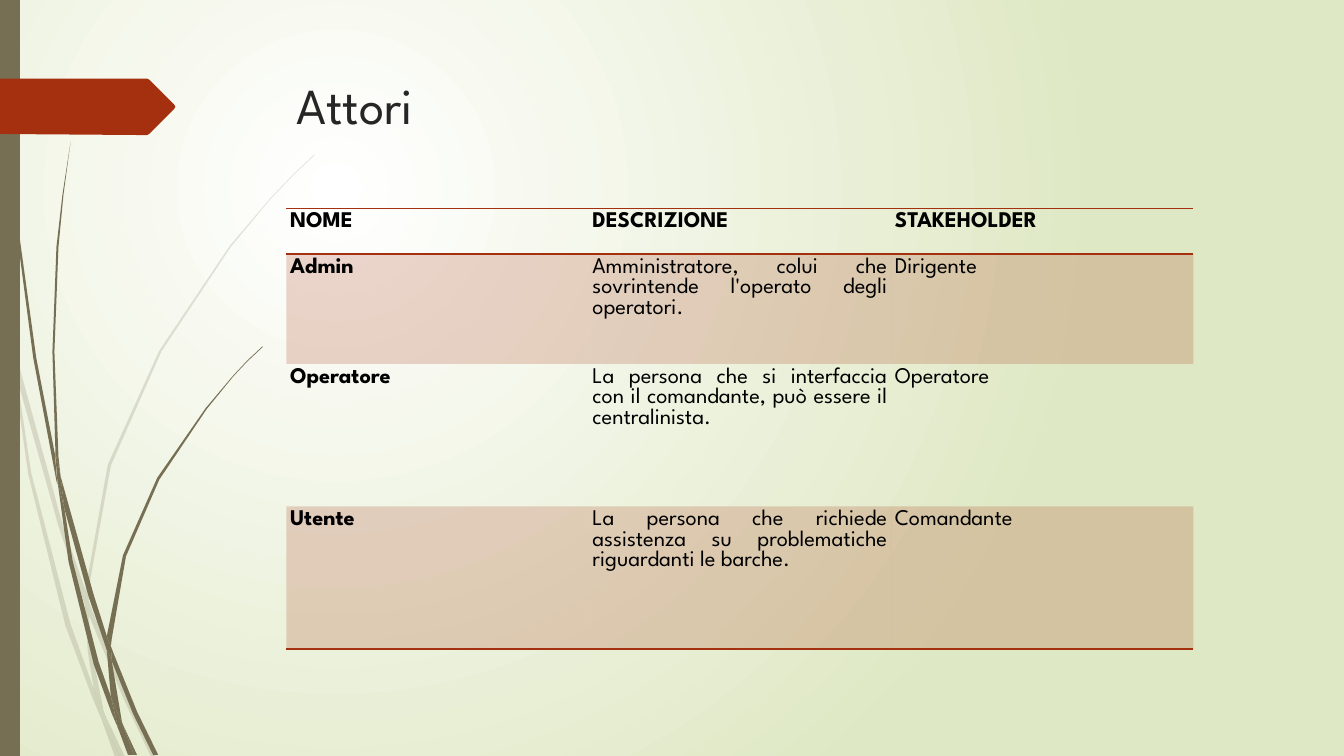
import pptx
import pptx.dml.color
import pptx.enum.text
import pptx.oxml
import pptx.oxml.ns
import pptx.util

TITLE = "Attori"
HEAD = ("NOME", "DESCRIZIONE", "STAKEHOLDER")
ACTORS = [
    ("Admin", "Amministratore, colui che sovrintende l'operato degli operatori.", "Dirigente"),
    ("Operatore", "La persona che si interfaccia con il comandante, può essere il centralinista.",
     "Operatore"),
    ("Utente", "La persona che richiede assistenza su problematiche riguardanti le barche.",
     "Comandante"),
]

THEME = {
    "font": "League Spartan",
    "title": 36, "cell": 16,
    "dark": "262626", "text": "000000",
    "stem": "766F54", "red": "A53010",
    "inner": "FFFFFF", "outer": "DFE8C4",
    "tint": 20,
}

Pt = pptx.util.Pt
WIDTH, HEIGHT = 960, 540
LEFT = 204.5
TITLE_BOX = (LEFT, 49, 702, 101)
TABLE_TOP, COL = 149, 216
ROWS = (32.4, 78.5, 101.9, 101.9)
INSET = 2.7
BAR = 14.4
GRID = Pt(0.72)  # one unit of the outlines below
PLAIN_TABLE = "{2D5ABB26-0587-4C30-8999-92F81FD0307C}"

PALE_GRASS = [
    [(11, 350), (9, 322), (0, 282), (0, 299), (10, 344)],
    [(58, 522), (84, 599), (85, 586), (62, 520), (14, 345), (17, 376)],
    [(92, 607), (88, 596), (88, 610), (123, 694), (150, 751), (155, 751), (127, 692)],
    [(119, 751), (124, 751), (105, 711)],
    [(93, 683), (70, 619), (31, 469), (17, 376), (11, 350), (28, 470), (65, 621),
     (92, 693), (101, 714), (99, 707)],
    [(84, 599), (87, 646), (93, 683), (96, 692), (105, 711), (103, 706), (91, 646),
     (88, 610), (88, 608)],
    [(88, 584), (110, 462), (160, 349), (229, 245), (268, 198), (290, 175), (312, 154),
     (312, 153), (289, 175), (268, 197), (228, 244), (158, 348), (107, 461), (85, 584),
     (85, 586), (88, 596)],
    [(101, 714), (114, 751), (119, 751)],
    [(88, 608), (88, 610), (88, 596), (85, 586), (84, 599)],
    [(96, 692), (93, 683), (99, 707), (101, 714), (119, 751), (105, 711)],
]
GRASS = [
    [(7, 110), (17, 233), (33, 355), (56, 477), (57, 481), (55, 457), (55, 453),
     (36, 355), (19, 232), (8, 109), (5, 48), (4, 0), (3, 0), (4, 48)],
    [(88, 592), (106, 645), (106, 633), (106, 631), (93, 590), (60, 472), (64, 505)],
    [(113, 649), (110, 641), (111, 656), (132, 708), (152, 749), (157, 749), (136, 706)],
    [(110, 691), (98, 657), (72, 556), (64, 505), (57, 477), (68, 557), (93, 659),
     (111, 708), (117, 722), (116, 717)],
    [(60, 472), (58, 453), (54, 349), (58, 245), (63, 193), (70, 141), (62, 193),
     (56, 245), (52, 349), (55, 449)],
    [(133, 749), (136, 749), (122, 719)],
    [(57, 477), (64, 505), (60, 472), (55, 449), (55, 453)],
    [(111, 633), (125, 552), (158, 476), (205, 406), (231, 374), (245, 359), (261, 344),
     (260, 344), (245, 358), (231, 373), (204, 405), (156, 474), (122, 551), (106, 631),
     (110, 641)],
    [(117, 722), (127, 749), (131, 749)],
    [(106, 645), (110, 691), (116, 706), (122, 719), (121, 716), (111, 656), (109, 651)],
    [(106, 645), (109, 651), (111, 656), (110, 641), (106, 631), (106, 633)],
    [(116, 706), (110, 691), (116, 717), (117, 722), (130, 749), (133, 749), (122, 719)],
]
ARROW = [(173, 108), (148, 133), (146, 134), (136, 134), (0, 133), (0, 78), (136, 78),
         (146, 78), (148, 79), (173, 104), (174, 106)]


def rgb(name):
    return pptx.dml.color.RGBColor.from_string(THEME[name])


def xml(text):
    return pptx.oxml.parse_xml(text.replace(" ", f" {pptx.oxml.ns.nsdecls('a')} ", 1))


def paint(fill, node, name, alpha=100):
    """Fill with a theme colour; node is the XML parent of the fill."""
    fill.solid()
    fill.fore_color.rgb = rgb(name)
    if alpha < 100:
        tone = node.find(pptx.oxml.ns.qn("a:solidFill"))[0]
        tone.append(xml(f'<a:alpha val="{alpha * 1000}"/>'))


def write(frame, text, size, color="text", bold=False, align="LEFT"):
    frame.word_wrap = True
    par = frame.paragraphs[0]
    par.alignment = getattr(pptx.enum.text.PP_ALIGN, align)
    run = par.add_run()
    run.text = text
    run.font.name = THEME["font"]
    run.font.size = Pt(THEME[size])
    run.font.bold = bold
    run.font.color.rgb = rgb(color)


def draw(shapes, points, name, alpha=100):
    pen = shapes.build_freeform(*points[0], scale=GRID)
    pen.add_line_segments(points[1:], close=True)
    shape = pen.convert_to_shape()
    shape.shadow.inherit = False
    shape.line.fill.background()
    paint(shape.fill, shape.element.spPr, name, alpha)


def set_back(slide):
    fill = slide.background.fill
    fill.gradient()
    for stop, name in zip(fill.gradient_stops, ("inner", "outer")):
        stop.color.rgb = rgb(name)
    line = slide.element.find(".//" + pptx.oxml.ns.qn("a:lin"))
    line.getparent().replace(line, xml(
        '<a:path path="circle"><a:fillToRect l="50000" t="50000" r="100000" b="100000"/></a:path>'))


def add_title(slide):
    title = slide.shapes.title
    title.left, title.top, title.width, title.height = map(Pt, TITLE_BOX)
    frame = title.text_frame
    frame.auto_size = pptx.enum.text.MSO_AUTO_SIZE.NONE
    frame.vertical_anchor = pptx.enum.text.MSO_ANCHOR.TOP
    write(frame, TITLE, "title", color="dark")
    title.element.getparent().append(title.element)


def add_grid(shapes):
    frame = shapes.add_table(len(ROWS), len(HEAD), Pt(LEFT), Pt(TABLE_TOP),
                             Pt(COL * len(HEAD)), Pt(sum(ROWS)))
    table = frame.table
    table.horz_banding = False
    frame.element.find(".//" + pptx.oxml.ns.qn("a:tableStyleId")).text = PLAIN_TABLE
    for col in table.columns:
        col.width = Pt(COL)
    for i, (row, high, texts) in enumerate(zip(table.rows, ROWS, [HEAD, *ACTORS])):
        row.height = Pt(high)
        sides = {0: ("lnT", "lnB"), len(ROWS) - 1: ("lnB",)}.get(i, ())
        for j, (cell, text) in enumerate(zip(row.cells, texts)):
            cell.margin_left = cell.margin_right = Pt(INSET)
            cell.margin_top = cell.margin_bottom = Pt(INSET)
            write(cell.text_frame, text, "cell", bold=i == 0 or j == 0, align="JUSTIFY")
            node = cell._tc.get_or_add_tcPr()
            for side in sides:
                node.append(xml(f'<a:{side} w="{Pt(1)}"><a:solidFill><a:srgbClr '
                                f'val="{THEME["red"]}"/></a:solidFill></a:{side}>'))
            if i % 2:
                paint(cell.fill, node, "red", THEME["tint"])
            else:
                cell.fill.background()


def main():
    deck = pptx.Presentation()
    deck.slide_width, deck.slide_height = Pt(WIDTH), Pt(HEIGHT)
    slide = deck.slides.add_slide(deck.slide_layouts[5])
    set_back(slide)
    for blade in PALE_GRASS:
        draw(slide.shapes, blade, "stem", THEME["tint"])
    for blade in GRASS:
        draw(slide.shapes, blade, "stem")
    bar = BAR / 0.72
    tall = HEIGHT / 0.72
    draw(slide.shapes, [(0, 0), (bar, 0), (bar, tall), (0, tall)], "stem")
    draw(slide.shapes, ARROW, "red")
    add_title(slide)
    add_grid(slide.shapes)
    deck.save("out.pptx")


if __name__ == "__main__":
    main()
